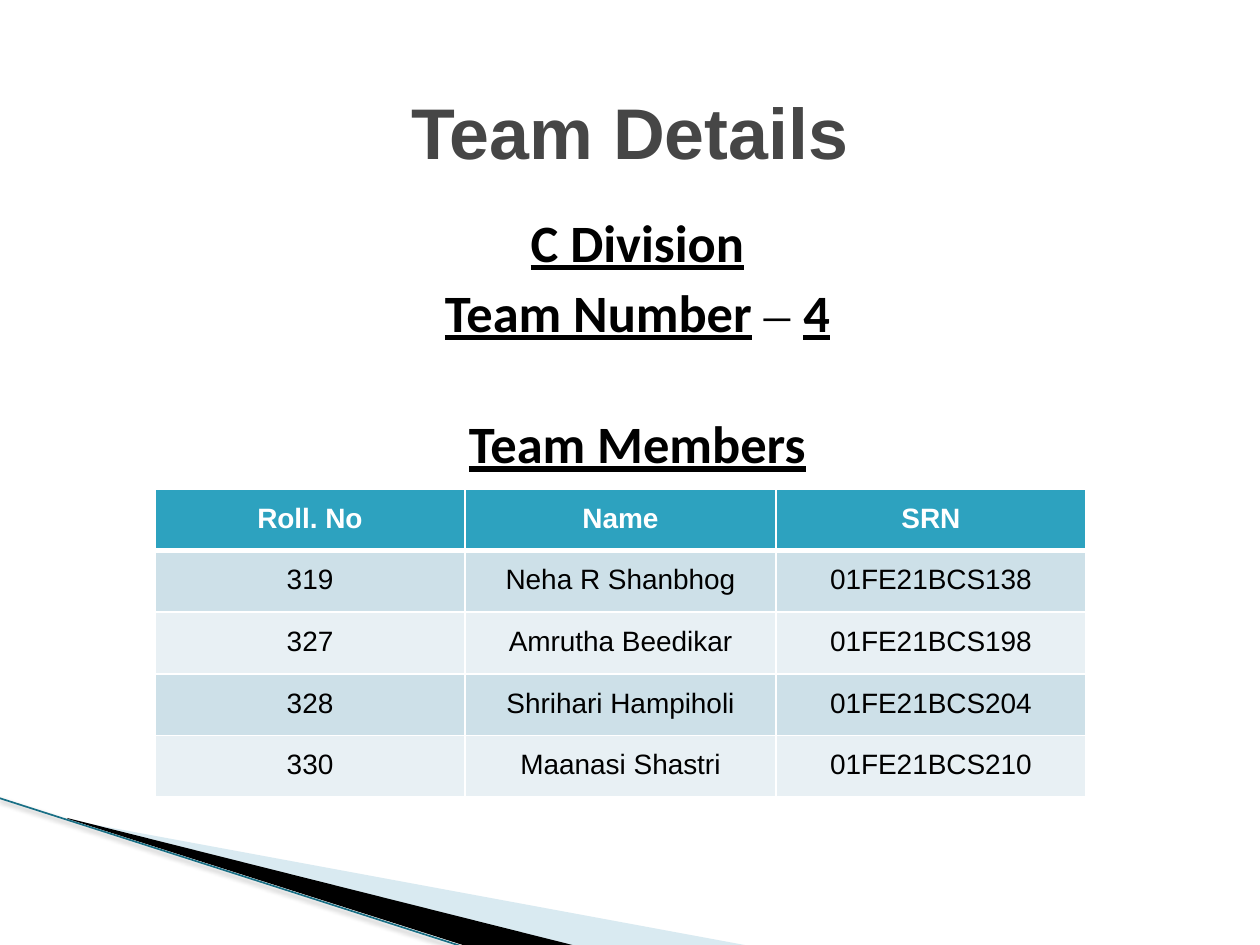
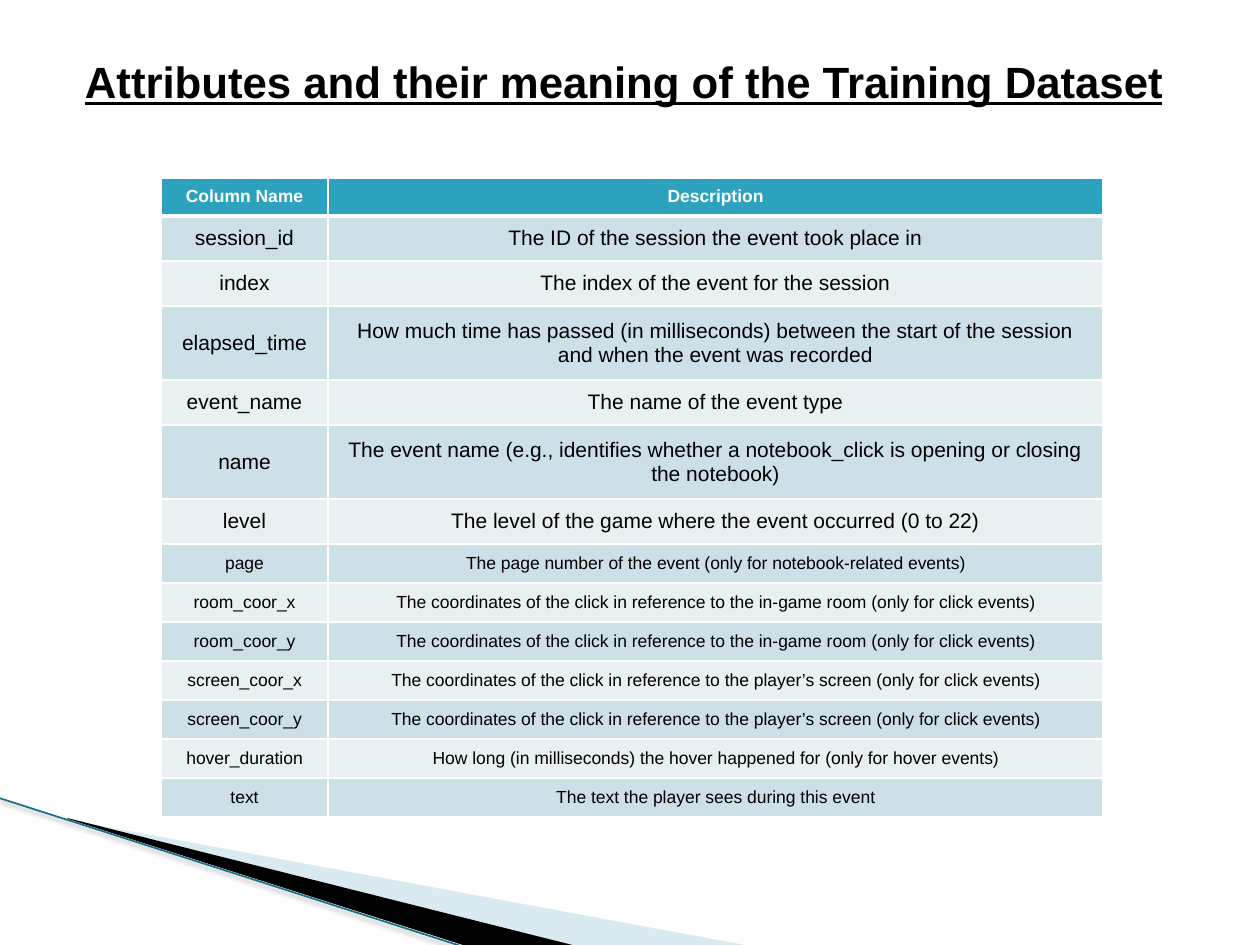
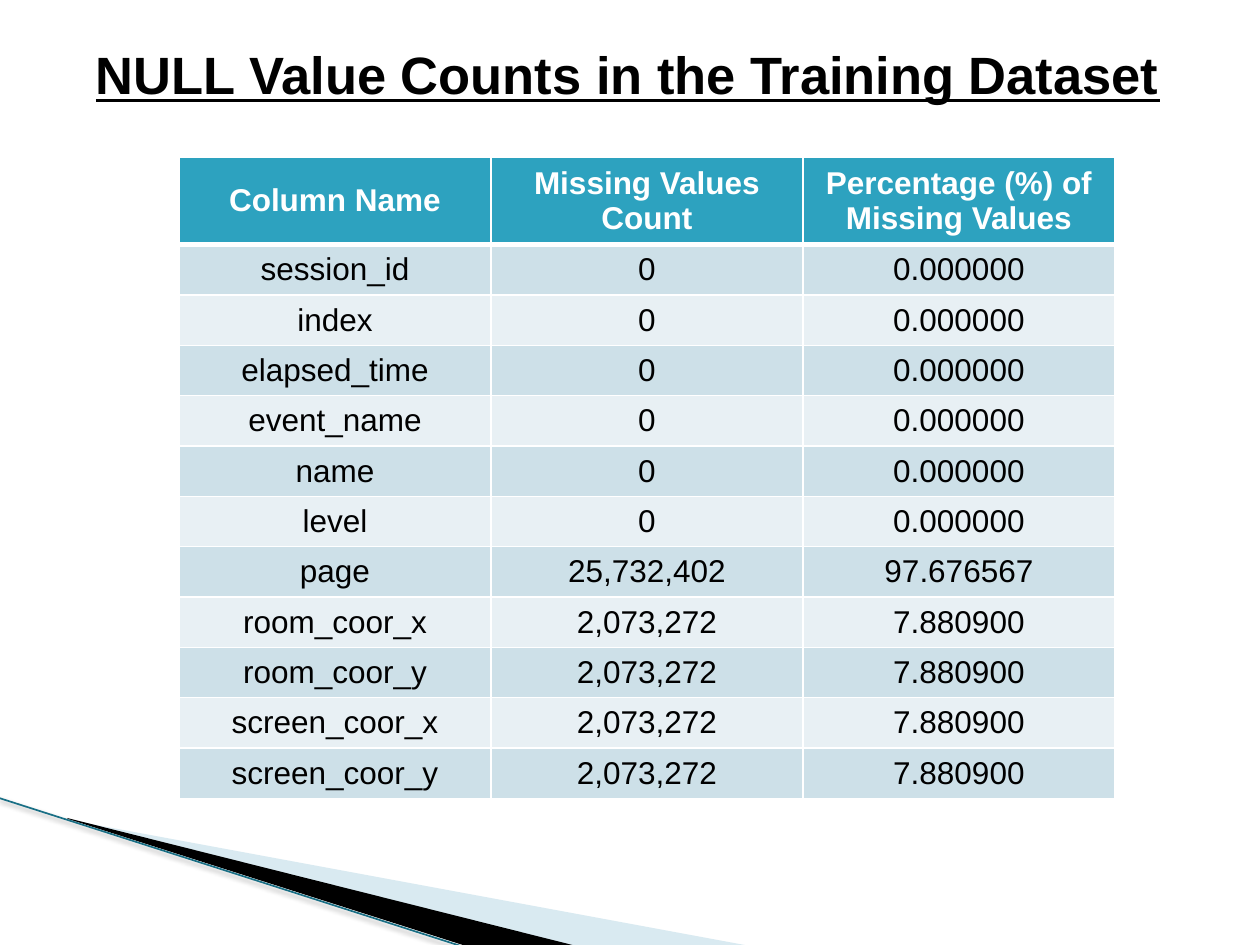
import pptx
import pptx.dml.color
import pptx.enum.shapes
import pptx.enum.text
import pptx.oxml
import pptx.oxml.ns
import pptx.util

RGB = pptx.dml.color.RGBColor
ALIGN = pptx.enum.text.PP_ALIGN
ANCHOR = pptx.enum.text.MSO_ANCHOR
Pt = pptx.util.Pt

# Shared look
PX = 914400 / 126
FONT = "Arial"
BLACK = RGB(0x00, 0x00, 0x00)
WHITE = RGB(0xFF, 0xFF, 0xFF)
GREY = RGB(0x46, 0x46, 0x46)
TEAL = RGB(0x2D, 0xA2, 0xBF)
DARK_TEAL = RGB(0x19, 0x6F, 0x85)
PALE_BLUE = RGB(0xA0, 0xCB, 0xDC)
BANDS = (RGB(0xCD, 0xE0, 0xE8), RGB(0xE8, 0xF0, 0xF4))

# Table contents
MEMBERS = [
    ("Roll. No", "Name", "SRN"),
    ("319", "Neha R Shanbhog", "01FE21BCS138"),
    ("327", "Amrutha Beedikar", "01FE21BCS198"),
    ("328", "Shrihari Hampiholi", "01FE21BCS204"),
    ("330", "Maanasi Shastri", "01FE21BCS210"),
]
ROOM = "The coordinates of the click in reference to the in-game room (only for click events)"
SCREEN = "The coordinates of the click in reference to the player’s screen (only for click events)"
ATTRIBUTES = [
    ("Column Name", "Description"),
    ("session_id", "The ID of the session the event took place in"),
    ("index", "The index of the event for the session"),
    ("elapsed_time", "How much time has passed (in milliseconds) between the start of the "
                     "session and when the event was recorded"),
    ("event_name", "The name of the event type"),
    ("name", "The event name (e.g., identifies whether a notebook_click is opening "
             "or closing the notebook)"),
    ("level", "The level of the game where the event occurred (0 to 22)"),
    ("page", "The page number of the event (only for notebook-related events)"),
    ("room_coor_x", ROOM),
    ("room_coor_y", ROOM),
    ("screen_coor_x", SCREEN),
    ("screen_coor_y", SCREEN),
    ("hover_duration", "How long (in milliseconds) the hover happened for (only for hover events)"),
    ("text", "The text the player sees during this event"),
]
COMPLETE = ("session_id", "index", "elapsed_time", "event_name", "name", "level")
CLICK = ("room_coor_x", "room_coor_y", "screen_coor_x", "screen_coor_y")
NULL_COUNTS = [
    ("Column Name", "Missing Values Count", "Percentage (%) of Missing Values"),
    *[(name, "0", "0.000000") for name in COMPLETE],
    ("page", "25,732,402", "97.676567"),
    *[(name, "2,073,272", "7.880900") for name in CLICK],
]


def px(n):
    return pptx.util.Emu(round(n * PX))


def xml(body):
    return pptx.oxml.parse_xml(body.replace(">", f" {pptx.oxml.ns.nsdecls('a')}>", 1))


def style(r, size, color=BLACK, bold=True, underline=False, font=FONT):
    r.font.name = font
    r.font.size = Pt(size)
    r.font.color.rgb = color
    r.font.bold = bold
    r.font.underline = underline


def add_box(s, x, y, w, h, anchor=ANCHOR.TOP, margins=(13, 6)):
    tf = s.shapes.add_textbox(px(x), px(y), px(w), px(h)).text_frame
    tf.word_wrap = True
    tf.vertical_anchor = anchor
    tf.margin_left = tf.margin_right = px(margins[0])
    tf.margin_top = tf.margin_bottom = px(margins[1])
    return tf


def add_title(s, box, text, size, color=BLACK, underline=True, align=ALIGN.LEFT, **layout):
    p = add_box(s, *box, **layout).paragraphs[0]
    p.text = text
    p.alignment = align
    style(p.runs[0], size, color, underline=underline)


def add_wedge(s, points, color, opacity=100):
    builder = s.shapes.build_freeform(*points[0], scale=PX)
    builder.add_line_segments(points[1:])
    sp = builder.convert_to_shape()
    sp.shadow.inherit = False
    sp.fill.solid()
    sp.fill.fore_color.rgb = color
    sp.line.fill.background()
    if opacity < 100:
        clr = sp.fill._xPr.find(".//" + pptx.oxml.ns.qn("a:srgbClr"))
        clr.append(xml(f'<a:alpha val="{opacity * 1000}"></a:alpha>'))


def add_corner(s):
    add_wedge(s, [(69, 820), (750, 946), (575, 946), (69, 819)], PALE_BLUE, 40)
    add_wedge(s, [(67, 818), (576, 946), (469, 947), (68, 819)], BLACK)
    edge = s.shapes.add_connector(pptx.enum.shapes.MSO_CONNECTOR.STRAIGHT,
                                  px(-1), px(798), px(467), px(948))
    edge.line.color.rgb = DARK_TEAL
    edge.line.width = Pt(0.96)
    edge._element.spPr.append(xml(
        '<a:effectLst><a:outerShdw blurRad="39370" dist="20320" dir="5400000" rotWithShape="0">'
        '<a:srgbClr val="000000"><a:alpha val="38000"/></a:srgbClr>'
        '</a:outerShdw></a:effectLst>'))


def add_borders(cell, top, bottom):
    widths = {"lnL": 1, "lnR": 1, "lnT": top, "lnB": bottom}
    tcPr = cell._tc.get_or_add_tcPr()
    for i, (side, width) in enumerate(widths.items()):
        tcPr.insert(i, xml(f'<a:{side} w="{Pt(width)}"><a:solidFill>'
                           f'<a:srgbClr val="{WHITE}"/></a:solidFill></a:{side}>'))


def add_grid(s, x, y, cols, heights, rows, sizes, anchor=ANCHOR.MIDDLE, margins=(13, 6)):
    table = s.shapes.add_table(len(rows), len(cols), px(x), px(y),
                               px(sum(cols)), px(sum(heights))).table
    for col, width in zip(table.columns, cols):
        col.width = px(width)
    for i, texts in enumerate(rows):
        table.rows[i].height = px(heights[i])
        header = i == 0
        for j, text in enumerate(texts):
            cell = table.cell(i, j)
            cell.text = text
            cell.vertical_anchor = anchor
            cell.margin_left = cell.margin_right = px(margins[0])
            cell.margin_top = cell.margin_bottom = px(margins[1])
            cell.fill.solid()
            cell.fill.fore_color.rgb = TEAL if header else BANDS[(i - 1) % 2]
            add_borders(cell, top=3 if i == 1 else 1, bottom=3 if header else 1)
            p = cell.text_frame.paragraphs[0]
            p.alignment = ALIGN.CENTER
            style(p.runs[0], sizes[i], WHITE if header else BLACK, bold=header)


def add_team_heading(s):
    tf = add_box(s, 63, 204, 1134, 624)
    tf.margin_left = px(28)
    lines = [(["C Division"], 4), (["Team Number", " ", "– ", "4"], 4), (["Team Members"], 39)]
    for i, (parts, space) in enumerate(lines):
        p = tf.add_paragraph() if i else tf.paragraphs[0]
        p.alignment = ALIGN.CENTER
        p.space_before = Pt(space)
        for part in parts:
            r = p.add_run()
            r.text = part
            dash = part == "– "
            style(r, 30, bold=not dash, underline=part != " " and not dash,
                  font="Times New Roman" if dash else "Calibri")


def add_slide(prs):
    s = prs.slides.add_slide(prs.slide_layouts[6])
    add_corner(s)
    return s


def main():
    prs = pptx.Presentation()
    prs.slide_width, prs.slide_height = px(1260), px(945)

    # Team
    s = add_slide(prs)
    add_team_heading(s)
    add_title(s, (396, 60, 466, 142), "Team Details", 41, GREY, underline=False,
              align=ALIGN.RIGHT, anchor=ANCHOR.MIDDLE)
    add_grid(s, 155, 489, [310, 311, 310], [60] * 5, MEMBERS, [16] * 5,
             anchor=ANCHOR.TOP, margins=(14, 14))

    # Attributes
    s = add_slide(prs)
    add_grid(s, 161, 178, [167, 775], [38, 45, 45, 74, 45, 74, 45] + [39] * 7,
             ATTRIBUTES, [10] + [12] * 6 + [10] * 7)
    add_title(s, (72, 49, 1115, 66), "Attributes and their meaning of the Training Dataset", 25)

    # Missing values
    s = add_slide(prs)
    add_title(s, (96, 23, 1126, 101), "NULL Value Counts in the Training Dataset", 30,
              anchor=ANCHOR.MIDDLE, margins=(0, 0))
    add_grid(s, 179, 157, [312] * 3, [87] + [554 / 11] * 11, NULL_COUNTS, [18] * 12)

    prs.save("out.pptx")


if __name__ == "__main__":
    main()
